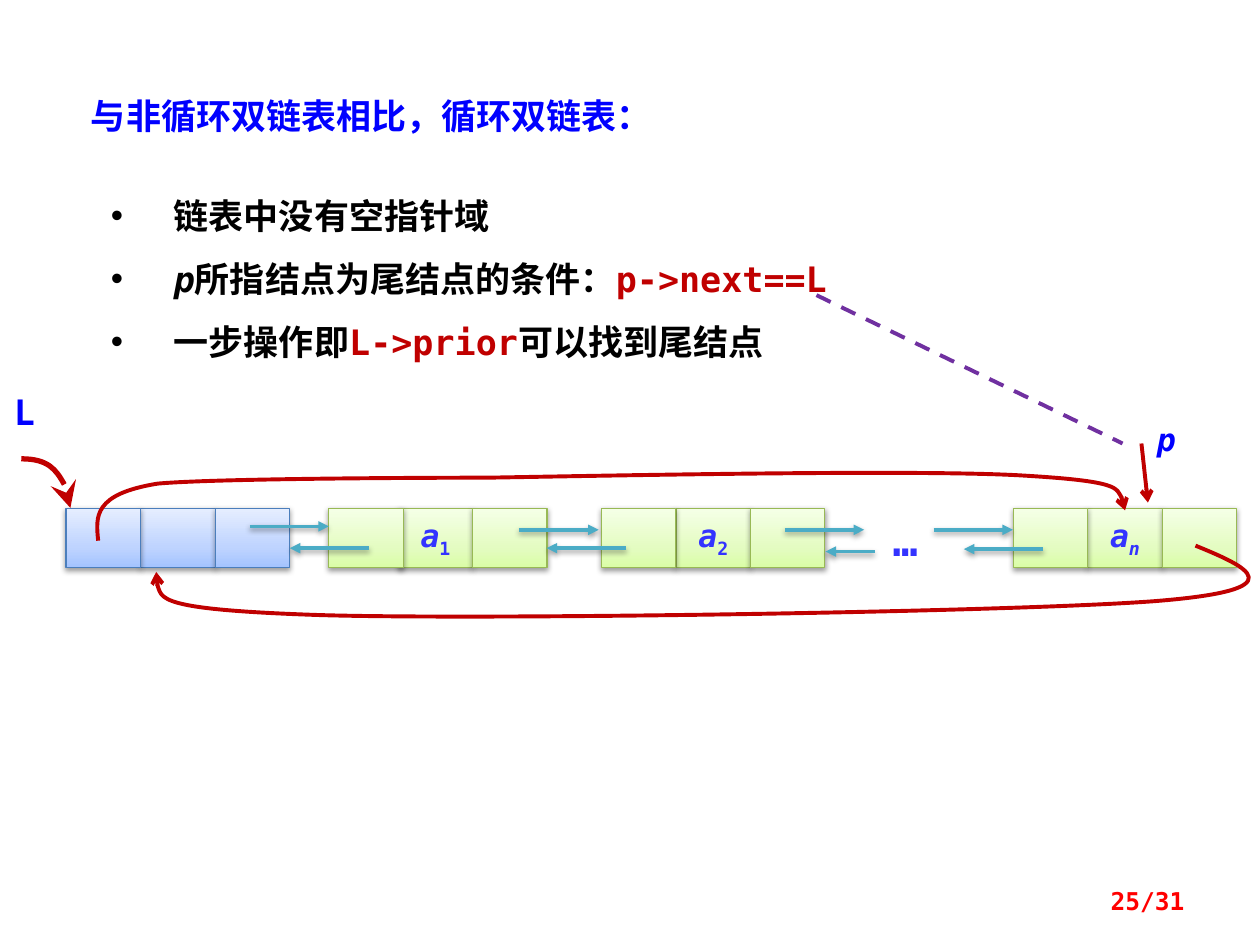
from lxml import etree
from pptx import Presentation
from pptx.dml.color import RGBColor
from pptx.enum.dml import MSO_LINE
from pptx.enum.shapes import MSO_CONNECTOR, MSO_SHAPE
from pptx.enum.text import MSO_ANCHOR, MSO_AUTO_SIZE, PP_ALIGN
from pptx.oxml import parse_xml
from pptx.oxml.ns import nsdecls, qn
from pptx.util import Cm, Pt

FONT = "DejaVu Sans Mono"
BLUE, RED, BLACK, LABEL = "0000FF", "C00000", "000000", "3333FF"
SHADOW = ('<a:outerShdw blurRad="40000" dist="20000" dir="5400000" rotWithShape="0">'
          '<a:srgbClr val="000000"><a:alpha val="38000"/></a:srgbClr></a:outerShdw>')


def add_run(p, text, size, color, italic=False, baseline=0):
    r = p.add_run()
    r.text = text
    f = r.font
    f.name, f.size, f.bold, f.italic = FONT, Pt(size), True, italic
    f.color.rgb = RGBColor.from_string(color)
    if baseline:
        r._r.get_or_add_rPr().set("baseline", str(baseline * 1000))


def style_line(shape, color, width, tail=None, shadow="", head_size="med"):
    """Set the outline, its end arrowhead and the shadow (none if empty)."""
    shape.line.color.rgb = RGBColor.from_string(color)
    shape.line.width = Pt(width)
    if tail:
        ln = shape.line._get_or_add_ln()
        ln.append(parse_xml(f'<a:tailEnd {nsdecls("a")} type="{tail}" '
                            f'w="{head_size}" len="{head_size}"/>'))
    shape._element.spPr.append(
        parse_xml(f'<a:effectLst {nsdecls("a")}>{shadow}</a:effectLst>'))


prs = Presentation()
prs.slide_width, prs.slide_height = Cm(25.4), Cm(19.05)
s = prs.slides.add_slide(prs.slide_layouts[1])

# Title and list
title, body = s.shapes.title, s.placeholders[1]
title.left, title.top, title.width, title.height = Cm(1.58), Cm(1.78), Cm(15.09), Cm(1.12)
body.left, body.top, body.width, body.height = Cm(1.98), Cm(3.38), Cm(15.67), Cm(4.11)
body.fill.solid()
body.fill.fore_color.rgb = RGBColor.from_string("FFFFFF")
for ph in (title, body):
    ph.text_frame.auto_size = MSO_AUTO_SIZE.SHAPE_TO_FIT_TEXT
    ph.text_frame.vertical_anchor = MSO_ANCHOR.TOP

p = title.text_frame.paragraphs[0]
p.alignment = PP_ALIGN.LEFT
add_run(p, "与非循环双链表相比，循环双链表：", 20, BLUE)

items = [
    [("链表中没有空指针域", BLACK, False)],
    [("p", BLACK, True), ("所指结点为尾结点的条件：", BLACK, False), ("p->next==L", RED, False)],
    [("一步操作即", BLACK, False), ("L->prior", RED, False), ("可以找到尾结点", BLACK, False)],
]
tf = body.text_frame
for i, runs in enumerate(items):
    p = tf.add_paragraph() if i else tf.paragraphs[0]
    p.line_spacing, p.space_before = 1.5, Pt(0)
    pPr = p._p.get_or_add_pPr()
    pPr.set("marL", str(Cm(1.27)))
    pPr.set("indent", str(-Cm(1.27)))
    pPr.append(parse_xml(f'<a:buChar {nsdecls("a")} char="•"/>'))
    for text, color, italic in runs:
        add_run(p, text, 20, color, italic)

# List nodes: prior, data and next cells
CELL_W, CELL_H, CELL_TOP = 1.5, 1.19, 10.25
HEAD = ("4B7EBC", "A4C4FF", "BFD4FF", "E6EEFF")
NODE = ("98B955", "DAFDA7", "E4FCC2", "F5FFE7")
nodes = [  # left of prior cell, left of data cell, colours, subscript
    (1.33, 2.84, HEAD, ""),
    (6.63, 8.03, NODE, "1"),
    (12.12, 13.63, NODE, "2"),
    (20.43, 21.93, NODE, "n"),
]
for prior_x, data_x, (border, *shades), index in nodes:
    stops = "".join(f'<a:gs pos="{pos}000"><a:srgbClr val="{c}"/></a:gs>'
                    for pos, c in zip((0, 35, 100), shades))
    for x in (data_x, data_x + CELL_W, prior_x):
        sp = s.shapes.add_shape(MSO_SHAPE.RECTANGLE, Cm(x), Cm(CELL_TOP), Cm(CELL_W), Cm(CELL_H))
        sp._element.spPr.append(parse_xml(
            f'<a:gradFill {nsdecls("a")} rotWithShape="1"><a:gsLst>{stops}</a:gsLst>'
            '<a:lin ang="16200000" scaled="0"/></a:gradFill>'))
        style_line(sp, border, 0.75, shadow=SHADOW)
        if index and x == data_x:
            tf = sp.text_frame
            tf.word_wrap, tf.vertical_anchor = False, MSO_ANCHOR.MIDDLE
            p = tf.paragraphs[0]
            p.alignment = PP_ALIGN.CENTER
            add_run(p, "a", 18, LABEL, True)
            add_run(p, index, 18, LABEL, index == "n", -25)

# Straight links: from x, to x, y
links = [
    (5.03, 6.63, 10.61), (10.46, 12.07, 10.68), (15.82, 17.42, 10.68), (18.82, 20.42, 10.68),
    (7.44, 5.84, 11.05), (12.62, 11.02, 11.05), (17.63, 16.64, 11.12), (21.03, 19.43, 11.07),
]
lines = [(x1, y, x2, y, "4BACC6", 2, "triangle", SHADOW) for x1, x2, y in links]
lines += [(23.01, 8.94, 23.14, 10.13, RED, 2.25, "arrow", ""),
          (16.46, 5.95, 22.63, 8.94, "7030A0", 2.25, None, "")]
for x1, y1, x2, y2, color, width, tail, shadow in lines:
    cn = s.shapes.add_connector(MSO_CONNECTOR.STRAIGHT, Cm(x1), Cm(y1), Cm(x2), Cm(y2))
    style_line(cn, color, width, tail, shadow)
cn.line.dash_style = MSO_LINE.DASH

# Curved links: chains of cubic Bézier control points
curves = [
    ("stealth", "lg", 3, [(0.43, 9.25), (0.97, 9.25), (1.42, 9.7), (1.42, 10.24)]),
    ("arrow", "med", 2.25, [(24.1, 11), (25.15, 11.43), (26.19, 11.89), (23.27, 12.12),
                            (20.32, 12.34), (9.8, 12.5), (6.45, 12.4),
                            (3.1, 12.29), (3.12, 11.91), (3.15, 11.53)]),
    ("arrow", "med", 2.25, [(1.98, 10.9), (1.93, 10.41), (1.88, 9.96), (3.18, 9.75),
                            (4.5, 9.63), (9.86, 9.63), (9.86, 9.63),
                            (12.73, 9.58), (18.36, 9.47), (20.5, 9.58),
                            (22.63, 9.7), (22.66, 9.98), (22.68, 10.29)]),
]
for tail, head_size, width, pts in curves:
    start, *rest = [(Cm(x), Cm(y)) for x, y in pts]
    fb = s.shapes.build_freeform(*start)
    fb.add_line_segments(rest, close=False)
    sp = fb.convert_to_shape()
    # Every three line segments become one cubic curve
    segments = list(sp._element.iter(qn("a:lnTo")))
    for k in range(0, len(segments), 3):
        curve = etree.Element(qn("a:cubicBezTo"))
        segments[k].addprevious(curve)
        for segment in segments[k:k + 3]:
            curve.append(segment[0])
            segment.getparent().remove(segment)
    sp.fill.background()
    style_line(sp, RED, width, tail, head_size=head_size)

# Labels and page number
labels = [
    ("L", 0.03, 7.75, 1.19, 1.12, 20, BLUE, False, PP_ALIGN.LEFT),
    ("…", 17.45, 10.24, 1.6, 1.27, 24, LABEL, False, PP_ALIGN.CENTER),
    ("p", 23.02, 8.34, 0.99, 1.02, 18, BLUE, True, PP_ALIGN.CENTER),
    ("25/31", 18.21, 17.65, 5.92, 1.02, 14, "FF0000", False, PP_ALIGN.RIGHT),
]
for text, x, y, w, h, size, color, italic, align in labels:
    tf = s.shapes.add_textbox(Cm(x), Cm(y), Cm(w), Cm(h)).text_frame
    tf.word_wrap = True
    p = tf.paragraphs[0]
    p.alignment = align
    add_run(p, text, size, color, italic)
tf.vertical_anchor = MSO_ANCHOR.MIDDLE

prs.save("out.pptx")
